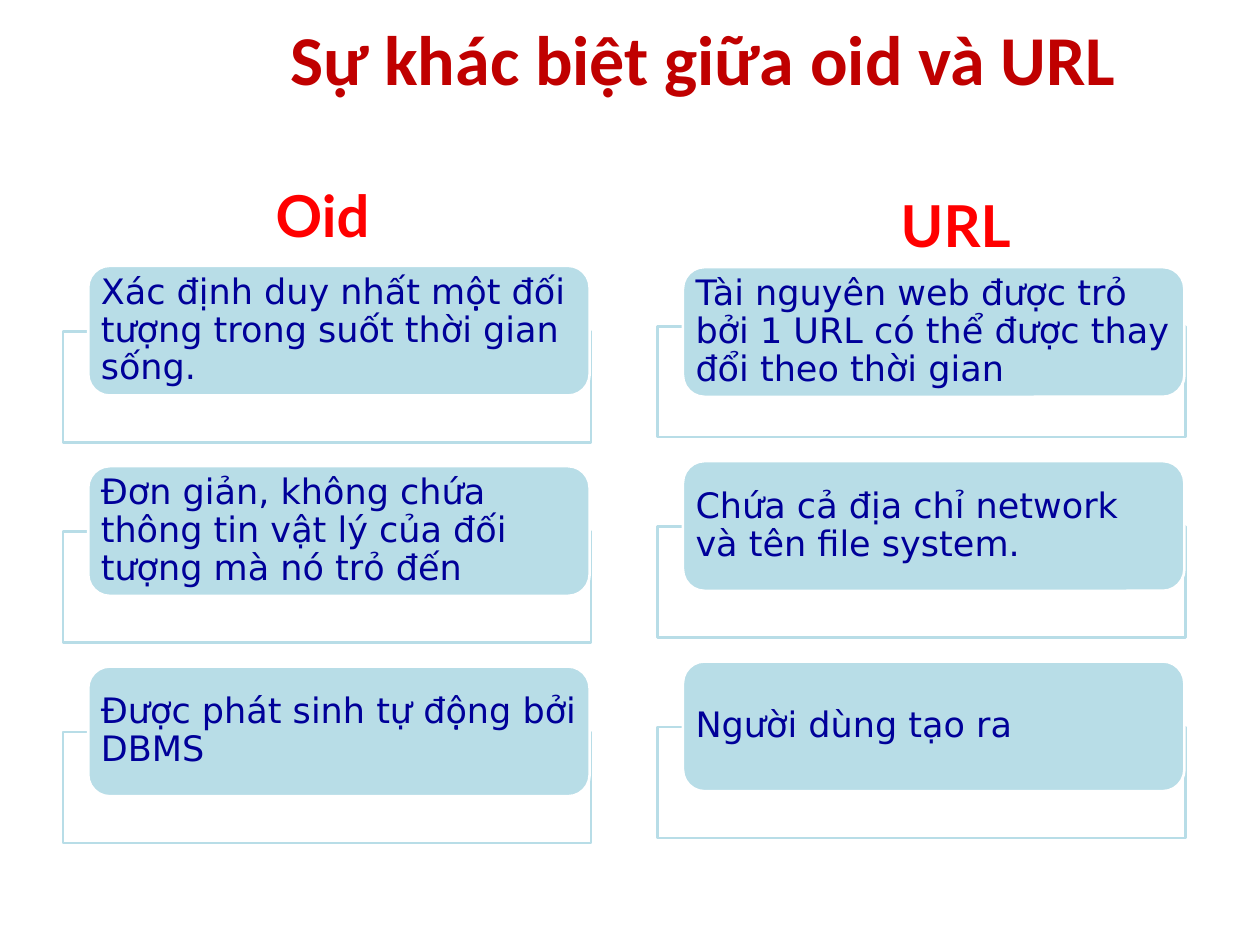
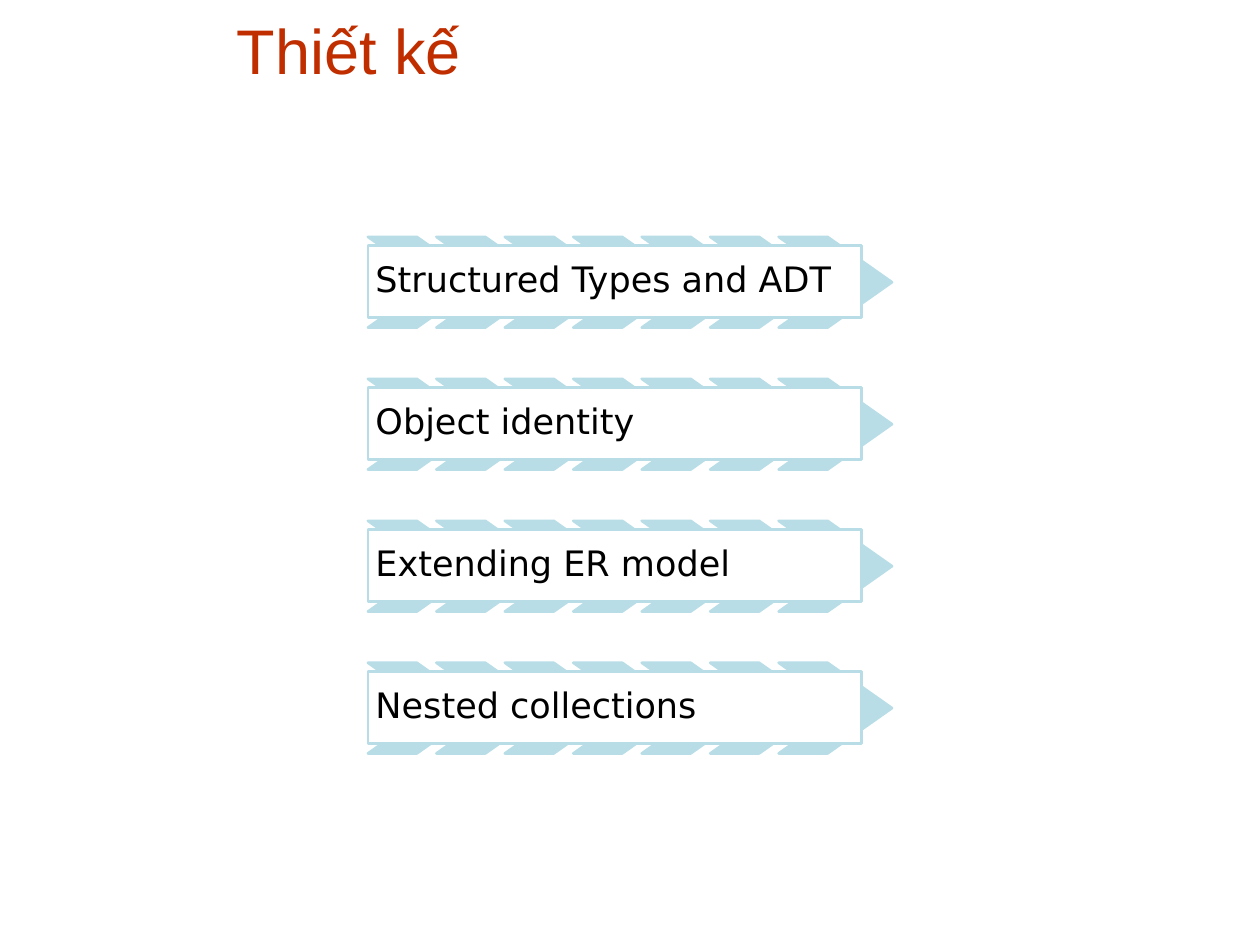
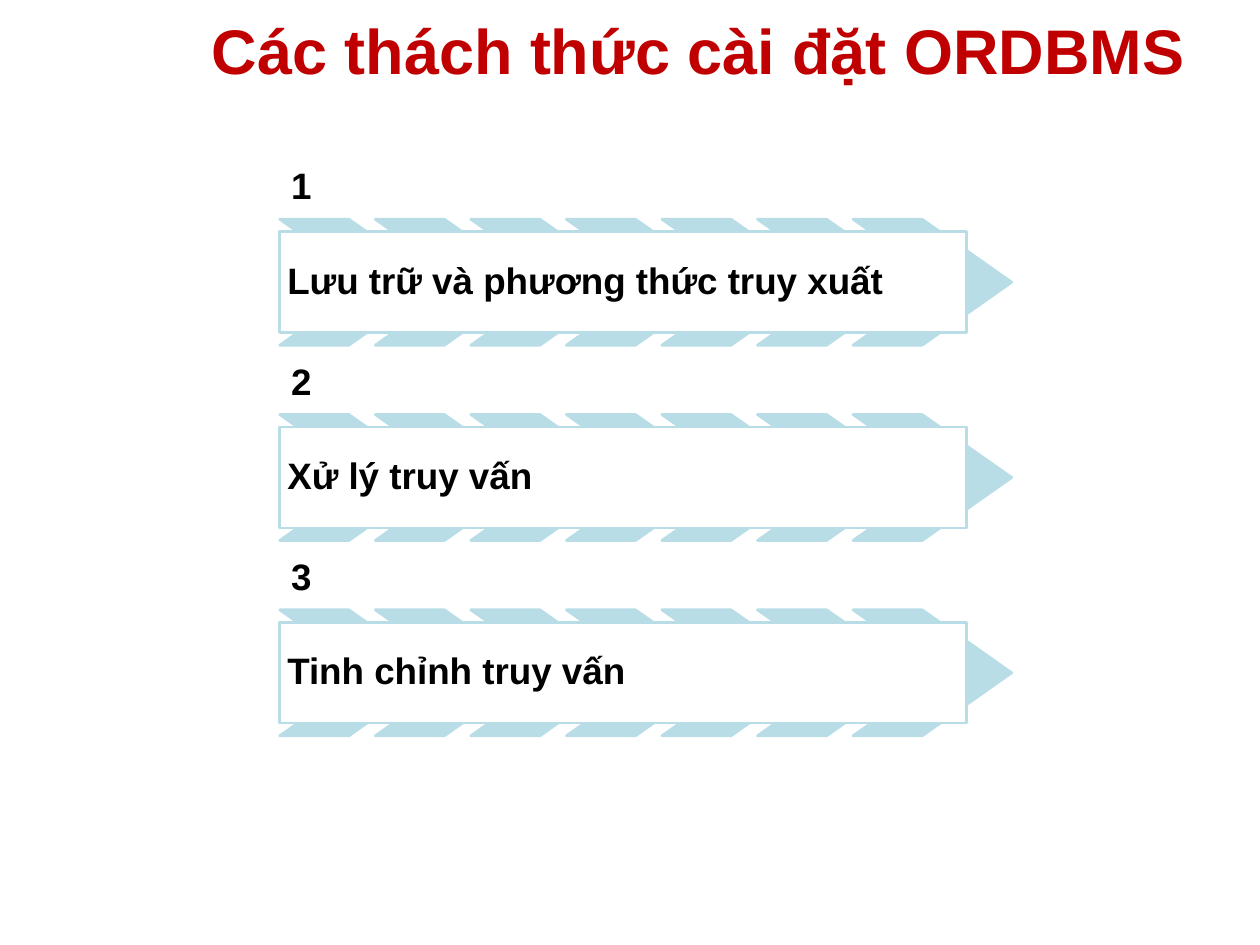
from pptx import Presentation
from pptx.dml.color import RGBColor
from pptx.enum.shapes import MSO_SHAPE
from pptx.enum.text import MSO_ANCHOR, MSO_AUTO_SIZE, PP_ALIGN
from pptx.util import Inches, Pt

RECTANGLE = MSO_SHAPE.RECTANGLE
ROUNDED = MSO_SHAPE.ROUNDED_RECTANGLE
CHEVRON = MSO_SHAPE.CHEVRON
LEFT, CENTER = PP_ALIGN.LEFT, PP_ALIGN.CENTER
TOP, MIDDLE, BOTTOM = MSO_ANCHOR.TOP, MSO_ANCHOR.MIDDLE, MSO_ANCHOR.BOTTOM

COLORS = {
    "white": "FFFFFF",
    "black": "000000",
    "panel": "B8DDE7",
    "navy": "000099",
    "heading": "FF0000",
    "title": "C00000",
    "rust": "C02E00",
}
CHEVRON_COUNT = 7


def add_box(slide, kind, bounds, fill, line):
    shape = slide.shapes.add_shape(kind, *map(Inches, bounds))
    shape.shadow.inherit = False
    shape.fill.solid()
    shape.fill.fore_color.rgb = RGBColor.from_string(COLORS[fill])
    shape.line.color.rgb = RGBColor.from_string(COLORS[line])
    shape.line.width = Pt(1.5)
    return shape


def write(shape, text, font, color, align=LEFT, anchor=MIDDLE, inset=(0.1, 0.05), wrap=True, spacing=1.0):
    frame = shape.text_frame
    horizontal, vertical = map(Inches, inset)
    frame_format = {
        "auto_size": MSO_AUTO_SIZE.NONE,
        "word_wrap": wrap,
        "vertical_anchor": anchor,
        "margin_left": horizontal,
        "margin_right": horizontal,
        "margin_top": vertical,
        "margin_bottom": vertical,
    }
    for name, value in frame_format.items():
        setattr(frame, name, value)
    paragraph = frame.paragraphs[0]
    paragraph.alignment = align
    paragraph.line_spacing = spacing
    run = paragraph.add_run()
    run.text = text
    for name, value in font.items():
        setattr(run.font, name, value)
    run.font.color.rgb = RGBColor.from_string(COLORS[color])


presentation = Presentation()
presentation.slide_width = Inches(10)
presentation.slide_height = Inches(7.5)

# Slides and their titles
titles = [
    ("Sự khác biệt giữa oid và URL", (1.08, -0.17, 9, 1.25),
     {"name": "Calibri", "size": Pt(40), "bold": True}, "title", CENTER),
    ("Thiết kế", (1.78, 0.04, 2, 0.71),
     {"name": "Arial", "size": Pt(36), "bold": False}, "rust", LEFT),
    ("Các thách thức cài đặt ORDBMS", (1.58, 0, 8, 0.78),
     {"name": "Arial", "size": Pt(36), "bold": True}, "title", LEFT),
]
slides = []
for text, bounds, font, color, align in titles:
    slide = presentation.slides.add_slide(presentation.slide_layouts[5])
    title = slide.shapes.title
    title.left, title.top, title.width, title.height = map(Inches, bounds)
    write(title, text, font, color, align)
    slides.append(slide)
comparison, design, challenges = slides

# Comparison: two columns of cards, each over an outlined frame
card_font = {"name": "DejaVu Sans", "size": Pt(20), "bold": False}
heading_font = {"name": "Lato", "size": Pt(33), "bold": True}
columns = [
    ("Oid", (2.09, 1.38, 0.97, 0.66), 0.5, 2.63, [
        (2.11, "Xác định duy nhất một đối tượng trong suốt thời gian sống."),
        (3.7, "Đơn giản, không chứa thông tin vật lý của đối tượng mà nó trỏ đến"),
        (5.29, "Được phát sinh tự động bởi DBMS"),
    ]),
    ("URL", (7.05, 1.46, 1.15, 0.66), 5.22, 2.59, [
        (2.12, "Tài nguyên web được trỏ bởi 1 URL có thể được thay đổi theo thời gian"),
        (3.66, "Chứa cả địa chỉ network và tên file system."),
        (5.25, "Người dùng tạo ra"),
    ]),
]
for heading, heading_bounds, left, first_frame_top, cards in columns:
    for row, (card_top, text) in enumerate(cards):
        frame_top = first_frame_top + row * 1.59
        add_box(comparison, RECTANGLE, (left, frame_top, 4.19, 0.88), "white", "panel")
        card = add_box(comparison, ROUNDED, (left + 0.2, card_top, 3.98, 1.03), "panel", "white")
        write(card, text, card_font, "navy", inset=(0.05, 0), spacing=0.9)
    heading_box = comparison.shapes.add_textbox(*map(Inches, heading_bounds))
    write(heading_box, heading, heading_font, "heading", anchor=TOP, wrap=False)

# Design and challenges: text bars over rows of chevrons
bar_lists = [
    {
        "slide": design, "left": 2.92, "top": 1.88, "row_span": 3.38,
        "chevron": (0.9, 0.72), "chevron_span": 3.26,
        "bar": (3.92, 0.57), "bar_offset": 0.07, "numbered": False,
        "font": card_font,
        "items": ["Structured Types and ADT", "Object identity",
                  "Extending ER model", "Nested collections"],
    },
    {
        "slide": challenges, "left": 2.22, "top": 1.74, "row_span": 3.1,
        "chevron": (1.26, 1), "chevron_span": 4.55,
        "bar": (5.45, 0.8), "bar_offset": 0.1, "numbered": True,
        "font": {"name": "Arial", "size": Pt(21), "bold": True},
        "items": ["Lưu trữ và phương thức truy xuất", "Xử lý truy vấn",
                  "Tinh chỉnh truy vấn"],
    },
]
for bars in bar_lists:
    slide, left = bars["slide"], bars["left"]
    row_step = bars["row_span"] / (len(bars["items"]) - 1)
    chevron_step = bars["chevron_span"] / (CHEVRON_COUNT - 1)
    for row, text in enumerate(bars["items"]):
        top = bars["top"] + row * row_step
        if bars["numbered"]:
            number = slide.shapes.add_textbox(*map(Inches, (left, top - 0.49, 5.38, 0.49)))
            write(number, str(row + 1), bars["font"], "black",
                  anchor=BOTTOM, inset=(0.09, 0.09), spacing=0.9)
        for column in range(CHEVRON_COUNT):
            bounds = (left + column * chevron_step, top, *bars["chevron"])
            chevron = add_box(slide, CHEVRON, bounds, "panel", "panel")
            chevron.adjustments[0] = 0.71
        bar = add_box(slide, RECTANGLE, (left, top + bars["bar_offset"], *bars["bar"]), "white", "panel")
        write(bar, text, bars["font"], "black", inset=(0.06, 0.06), spacing=0.9)

presentation.save("out.pptx")
